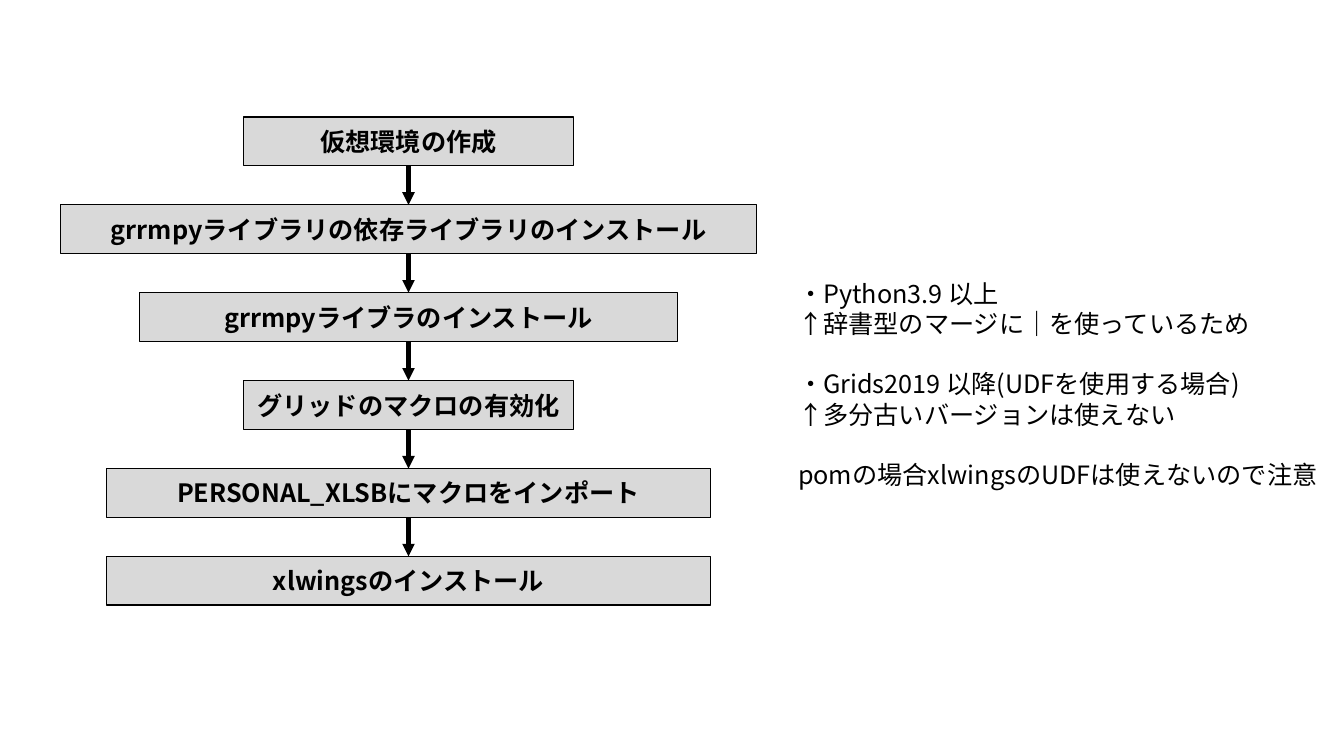
from lxml import etree
from pptx import Presentation
from pptx.dml.color import RGBColor
from pptx.enum.shapes import MSO_CONNECTOR, MSO_SHAPE
from pptx.enum.text import MSO_ANCHOR, PP_ALIGN
from pptx.oxml.ns import qn
from pptx.util import Pt

RECT = MSO_SHAPE.RECTANGLE
LINE = MSO_CONNECTOR.STRAIGHT
MIDDLE = MSO_ANCHOR.MIDDLE
CENTER = PP_ALIGN.CENTER
BLACK = RGBColor(0, 0, 0)
GRAY = RGBColor(0xD9, 0xD9, 0xD9)
FONT = "Noto Sans CJK JP"


def style(par, bold=False):
    font = par.font
    font.name, font.size, font.bold = FONT, Pt(18), bold
    font.color.rgb = BLACK
    # East Asian typeface, placed after the Latin one
    latin = font._element.find(qn("a:latin"))
    east = etree.Element(qn("a:ea"), typeface=FONT)
    latin.addnext(east)


prs = Presentation()
prs.slide_width, prs.slide_height = Pt(960), Pt(540)
slide = prs.slides.add_slide(prs.slide_layouts[6])
shapes = slide.shapes

# Install steps: label and box width
steps = [
    ("仮想環境の作成", 235.5),
    ("grrmpyライブラリの依存ライブラリのインストール", 497),
    ("grrmpyライブラのインストール", 384),
    ("グリッドのマクロの有効化", 235.5),
    ("PERSONAL_XLSBにマクロをインポート", 431.5),
    ("xlwingsのインストール", 431.5),
]
MID, TOP, HIGH, STEP = 291.8, 83.5, 34.8, 62.8

for i, (label, wide) in enumerate(steps):
    top = TOP + i * STEP
    box = shapes.add_shape(RECT, Pt(MID - wide / 2), Pt(top), Pt(wide), Pt(HIGH))
    box.shadow.inherit = False
    box.fill.solid()
    box.fill.fore_color.rgb = GRAY
    box.line.color.rgb = BLACK
    box.line.width = Pt(1)
    frame = box.text_frame
    frame.vertical_anchor = MIDDLE
    frame.text = label
    frame.paragraphs[0].alignment = CENTER
    style(frame.paragraphs[0], bold=True)

# Arrows between the steps
for i in range(len(steps) - 1):
    top = TOP + i * STEP
    arrow = shapes.add_connector(LINE, Pt(MID), Pt(top + HIGH), Pt(MID), Pt(top + STEP))
    arrow.line.color.rgb = BLACK
    arrow.line.width = Pt(3)
    etree.SubElement(arrow.line._get_or_add_ln(), qn("a:tailEnd"), type="triangle")
    etree.SubElement(arrow._element.spPr, qn("a:effectLst"))

# Version notes: text and gap above
notes = [
    ("・Python3.9 以上", 0),
    ("↑辞書型のマージに｜を使っているため", 0),
    ("・Grids2019 以降(UDFを使用する場合)", 21.6),
    ("↑多分古いバージョンは使えない", 0),
    ("pomの場合xlwingsのUDFは使えないので注意", 21.6),
]
frame = shapes.add_textbox(Pt(563), Pt(195), Pt(386), Pt(160)).text_frame
frame.word_wrap = True
frame.text = "\n".join(text for text, gap in notes)
for par, (text, gap) in zip(frame.paragraphs, notes):
    par.space_before = Pt(gap)
    style(par)

prs.save("out.pptx")
